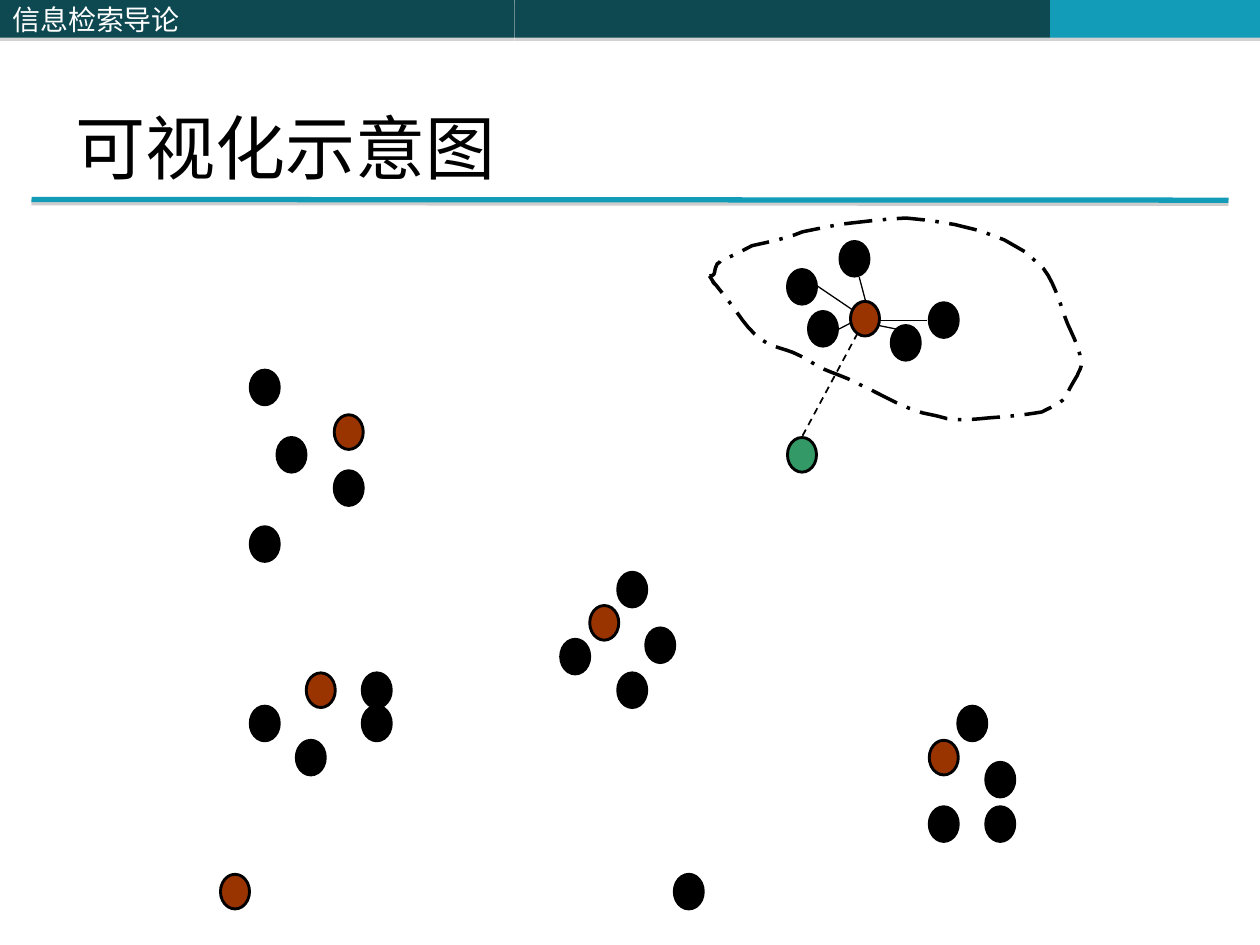
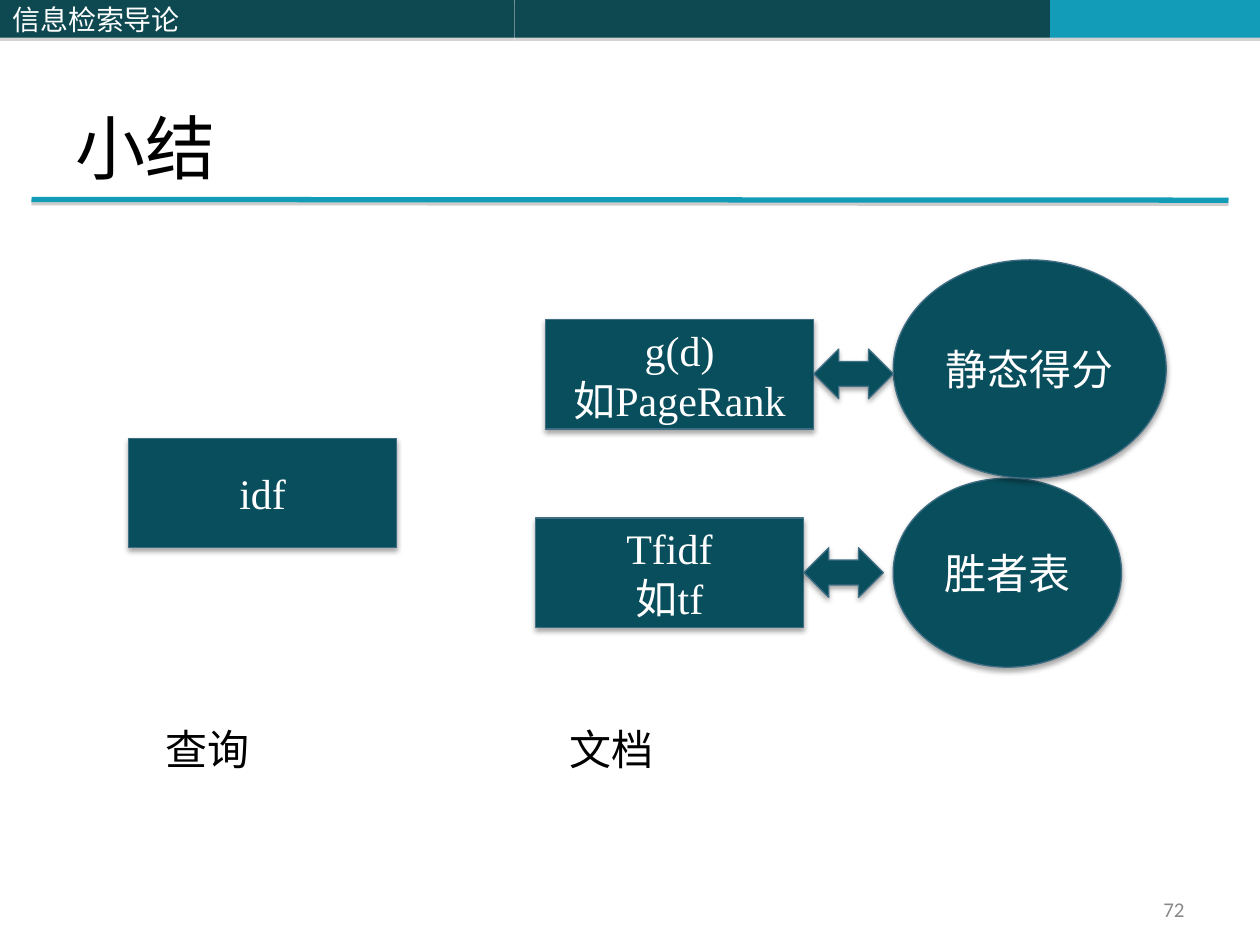
"""Build the cluster diagram and summary slides of an information retrieval course."""
from dataclasses import dataclass

from lxml import etree
from pptx import Presentation
from pptx.dml.color import RGBColor
from pptx.enum.dml import MSO_LINE
from pptx.enum.shapes import MSO_CONNECTOR, MSO_SHAPE
from pptx.enum.text import MSO_ANCHOR, PP_ALIGN
from pptx.oxml.ns import qn
from pptx.util import Pt

RECTANGLE, OVAL = MSO_SHAPE.RECTANGLE, MSO_SHAPE.OVAL
DOUBLE_ARROW = MSO_SHAPE.LEFT_RIGHT_ARROW
STRAIGHT = MSO_CONNECTOR.STRAIGHT
DASH, LONG_DASH_DOT = MSO_LINE.DASH, MSO_LINE.LONG_DASH_DOT
LEFT, CENTER, RIGHT = PP_ALIGN.LEFT, PP_ALIGN.CENTER, PP_ALIGN.RIGHT
TOP, MIDDLE, BOTTOM = MSO_ANCHOR.TOP, MSO_ANCHOR.MIDDLE, MSO_ANCHOR.BOTTOM
TITLE_ONLY = 5


@dataclass(frozen=True)
class Theme:
    band: str = "0E4851"
    accent: str = "139CB7"
    node: str = "094E5C"
    node_line: str = "406E84"
    leader: str = "993300"
    query: str = "339966"
    black: str = "000000"
    white: str = "FFFFFF"
    number: str = "898989"
    serif: str = "Times New Roman"
    sans: str = "Noto Sans"
    chinese: str = "Noto Sans CJK SC"
    number_font: str = "Calibri"
    title_size: float = 40
    body_size: float = 24
    band_size: float = 16
    number_size: float = 12
    band_shadow: tuple = ("808080", 0, 35)
    rule_shadow: tuple = ("808080", 0, 38)
    node_shadow: tuple = ("000000", 3.1, 35)


THEME = Theme()


def paint(shape, fill=None, line=None, width=0.75, shadow=None):
    """Set fill, line and shadow of a shape or connector."""
    if fill:
        shape.fill.solid()
        shape.fill.fore_color.rgb = RGBColor.from_string(fill)
    if line:
        shape.line.color.rgb = RGBColor.from_string(line)
        shape.line.width = Pt(width)
    else:
        shape.line.fill.background()
    effects = etree.SubElement(shape.element.spPr, qn("a:effectLst"))
    if shadow:
        color, blur, alpha = shadow
        outer = etree.SubElement(effects, qn("a:outerShdw"), blurRad=str(Pt(blur)),
                                 dist=str(Pt(1.8)), dir="5400000", rotWithShape="0")
        tint = etree.SubElement(outer, qn("a:srgbClr"), val=color)
        etree.SubElement(tint, qn("a:alpha"), val=str(alpha * 1000))


def write(shape, lines, size, color, font, align=LEFT, anchor=MIDDLE):
    """Write each line as a paragraph with one formatted run."""
    frame = shape.text_frame
    frame.word_wrap = True
    frame.vertical_anchor = anchor
    for index, line in enumerate(lines):
        para = frame.add_paragraph() if index else frame.paragraphs[0]
        para.alignment = align
        span = para.add_run()
        span.text = line
        span.font.size = Pt(size)
        span.font.name = font
        span.font.color.rgb = RGBColor.from_string(color)
        etree.SubElement(span.font._element, qn("a:ea"), typeface=THEME.chinese)


deck = Presentation()
deck.slide_width, deck.slide_height = Pt(720), Pt(540)

bands = [(294, 306, THEME.band), (600, 120, THEME.accent), (0, 294, THEME.band)]
pages = []
for title in ("可视化示意图", "小结"):
    page = deck.slides.add_slide(deck.slide_layouts[TITLE_ONLY])
    pages.append(page)
    for left, width, color in bands:
        band = page.shapes.add_shape(RECTANGLE, Pt(left), Pt(0), Pt(width), Pt(21.6))
        paint(band, color, shadow=THEME.band_shadow)
    write(band, ["信息检索导论"], THEME.band_size, THEME.white, THEME.chinese)
    rule = page.shapes.add_connector(STRAIGHT, Pt(18), Pt(114), Pt(702), Pt(114.4))
    paint(rule, line=THEME.accent, width=3, shadow=THEME.rule_shadow)
    heading = page.shapes.title
    heading.left, heading.top, heading.width, heading.height = Pt(36), Pt(21.6), Pt(648), Pt(90)
    write(heading, [title], THEME.title_size, THEME.black, THEME.serif, anchor=BOTTOM)

cluster_page, summary_page = pages

outline_start = (405.4, 157.7)
outline_curves = [
    (414.7, 171.4, 398.9, 149.8, 414.7, 169.9),
    (421.9, 178.6, 426.2, 187.9, 435.6, 194.4),
    (441.4, 198.7, 450, 199.4, 456.5, 203),
    (461.5, 205.2, 465.8, 208.8, 470.9, 211),
    (477.4, 213.8, 484.6, 216, 491, 219.6),
    (505.4, 226.1, 519.1, 235.4, 535, 237.6),
    (547.2, 241.9, 558.7, 239, 571.7, 238.3),
    (580.3, 237.6, 586.8, 236.9, 595.4, 235.4),
    (600.5, 232.6, 605.5, 231.1, 609.1, 226.8),
    (610.6, 222.5, 615.6, 214.6, 615.6, 214.6),
    (616.3, 212.4, 618.5, 209.5, 617.8, 207.4),
    (617, 197.3, 611.3, 189.4, 608.4, 180.7),
    (605.5, 172.1, 601.9, 160.6, 596.2, 153.4),
    (578.9, 132.5, 543.6, 126.7, 517.7, 124.6),
    (504, 125.3, 493.2, 126.7, 480.2, 128.2),
    (473, 129.6, 465.8, 131, 458.6, 132.5),
    (450, 136.1, 439.9, 138.2, 429.8, 140.4),
    (424.1, 143.3, 417.6, 146.9, 411.8, 149),
    (411.1, 150.5, 409.7, 150.5, 409.7, 151.2),
    (407.5, 154.8, 409.7, 157.7, 405.4, 157.7),
]
steps = 6
outline_points = []
x0, y0 = outline_start
for x1, y1, x2, y2, x3, y3 in outline_curves:
    for step in range(1, steps + 1):
        t = step / steps
        a, b, c, d = (1 - t) ** 3, 3 * t * (1 - t) ** 2, 3 * t * t * (1 - t), t ** 3
        outline_points.append((Pt(a * x0 + b * x1 + c * x2 + d * x3),
                               Pt(a * y0 + b * y1 + c * y2 + d * y3)))
    x0, y0 = x3, y3
builder = cluster_page.shapes.build_freeform(Pt(outline_start[0]), Pt(outline_start[1]))
builder.add_line_segments(outline_points, close=True)
outline = builder.convert_to_shape()
outline.fill.background()
paint(outline, line=THEME.black, width=2)
outline.line.dash_style = LONG_DASH_DOT

spokes = [
    (497, 185, 512, 188), (498, 183, 530, 183), (497, 181, 491, 158.4),
    (493, 181, 467, 163.4), (493, 181, 479.5, 188),
]
for ends in spokes:
    spoke = cluster_page.shapes.add_connector(STRAIGHT, *map(Pt, ends))
    paint(spoke, line=THEME.black)
query_link = cluster_page.shapes.add_connector(STRAIGHT, Pt(458.6), Pt(249), Pt(493), Pt(185))
paint(query_link, line=THEME.black, width=1)
query_link.line.dash_style = DASH

dots = {
    THEME.black: [
        (143, 211.5), (158.3, 250), (191, 269), (143, 301),
        (450, 154), (462, 178), (509.3, 186), (531, 173), (480, 138),
        (207, 384.5), (207, 403.5), (143, 403.5), (169.3, 423),
        (353, 327), (369, 358.8), (353, 384.5), (320.4, 365.3),
        (547.3, 403.5), (563.3, 435.6), (531, 461), (563.3, 461),
        (385.3, 499.6),
    ],
    THEME.leader: [(191, 237), (486, 172.2), (175, 384.5), (337, 346), (531, 423), (126, 499.6)],
    THEME.query: [(450, 250)],
}
for color, places in dots.items():
    for left, top in places:
        dot = cluster_page.shapes.add_shape(OVAL, Pt(left), Pt(top), Pt(16.6), Pt(19.8))
        paint(dot, color, THEME.black, 1.63)

label = summary_page.shapes.add_shape(RECTANGLE, Pt(45.4), Pt(409.7), Pt(578), Pt(36))
paint(label, THEME.white)
write(label, ["查询\t文档"], THEME.body_size, THEME.black, THEME.sans, anchor=TOP)
label.text_frame.margin_left = Pt(49)
properties = label.text_frame.paragraphs[0]._p.get_or_add_pPr()
tabs = etree.SubElement(properties, qn("a:tabLst"))
etree.SubElement(tabs, qn("a:tab"), pos=str(Pt(231)), algn="l")

nodes = [
    (RECTANGLE, 311.6, 182.7, 153.4, 62.6, ["g(d)", "如PageRank"]),
    (RECTANGLE, 305.9, 296, 153.4, 62.6, ["Tfidf", "如tf"]),
    (RECTANGLE, 73.4, 250.5, 153.4, 62.6, ["idf"]),
    (OVAL, 510.4, 273.3, 130.5, 108, ["胜者表"]),
    (OVAL, 510.4, 148.5, 156, 124.8, ["静态得分"]),
    (DOUBLE_ARROW, 459.4, 313, 45.4, 28.4, []),
    (DOUBLE_ARROW, 465.1, 199.5, 45.4, 28.4, []),
]
for kind, left, top, width, height, lines in nodes:
    node = summary_page.shapes.add_shape(kind, Pt(left), Pt(top), Pt(width), Pt(height))
    paint(node, THEME.node, THEME.node_line, shadow=THEME.node_shadow)
    write(node, lines, THEME.body_size, THEME.white, THEME.serif, CENTER)

number = summary_page.shapes.add_textbox(Pt(516), Pt(510), Pt(168), Pt(19.4))
write(number, ["72"], THEME.number_size, THEME.number, THEME.number_font, RIGHT)

deck.save("out.pptx")
